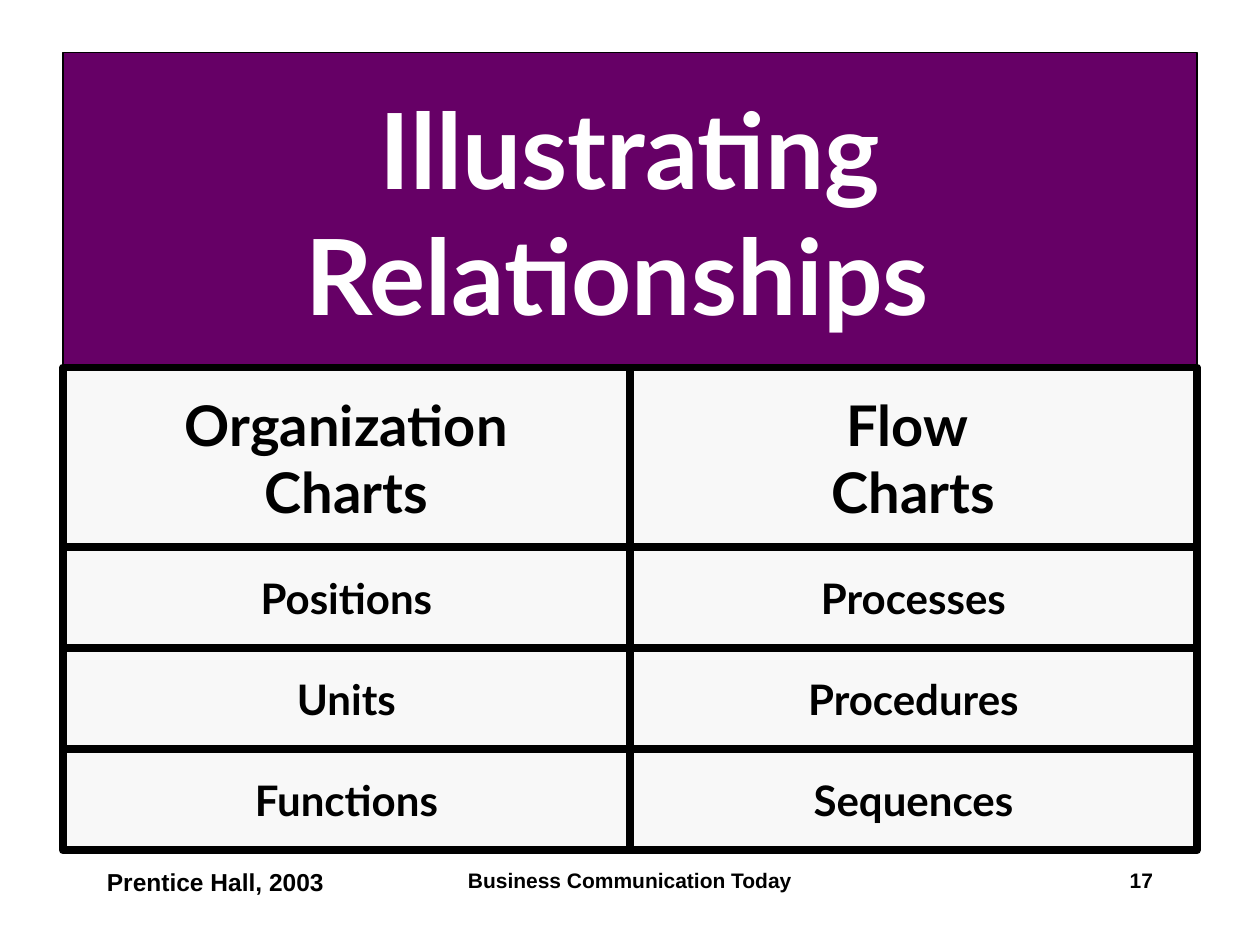
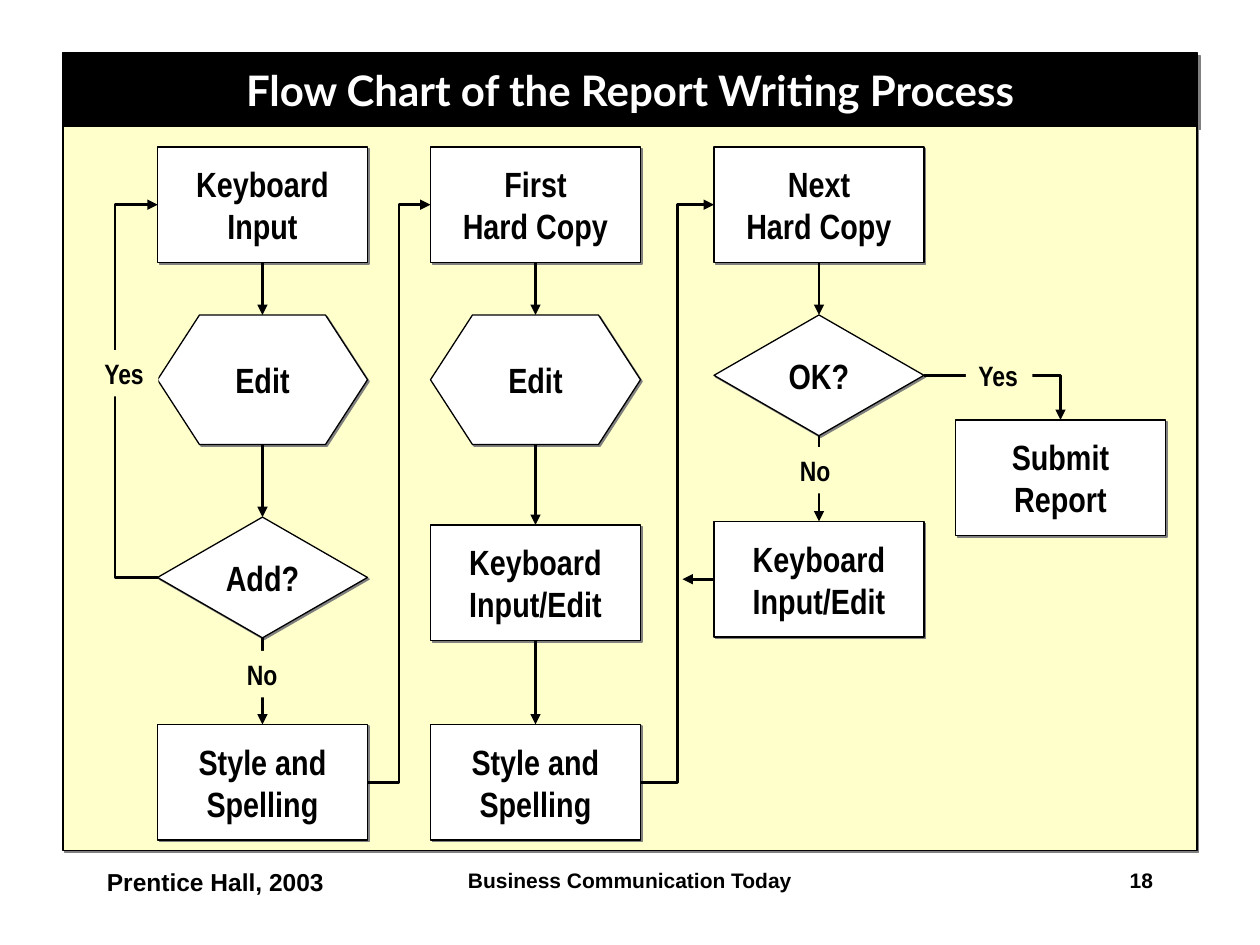
from lxml.etree import SubElement
from pptx import Presentation
from pptx.dml.color import RGBColor
from pptx.enum.shapes import MSO_CONNECTOR as LINK, MSO_SHAPE as SHAPE
from pptx.enum.text import MSO_ANCHOR as ANCHOR, MSO_AUTO_SIZE as FIT, PP_ALIGN as ALIGN
from pptx.oxml.ns import qn
from pptx.util import Pt

COLORS = {"purple": "660066", "black": "000000", "white": "FFFFFF",
          "cell": "F8F8F8", "cream": "FFFFCC", "shadow": "808080"}
STYLES = {
    "title": {"name": "Lato", "size": Pt(60), "bold": True},
    "band": {"name": "Lato", "size": Pt(24), "bold": True},
    "heading": {"name": "Lato", "size": Pt(32), "bold": True},
    "cell": {"name": "Lato", "size": Pt(24), "bold": True},
    "step": {"name": "Arial Narrow", "size": Pt(20), "bold": True},
    "answer": {"name": "Arial Narrow", "size": Pt(16), "bold": True},
    "footer": {"name": "Arial", "size": Pt(12), "bold": True},
    "publisher": {"name": "Arial", "size": Pt(14), "bold": True},
}

# Content
FIRST_NUMBER = 17
FOOTER = [  # text, left, width, style, alignment
    ("Business Communication Today", 246, 228, "footer", ALIGN.CENTER),
    ("{number}", 516, 150, "footer", ALIGN.RIGHT),
    ("Prentice Hall, 2003", 54, 150, "publisher", ALIGN.LEFT),
]
RELATIONSHIPS_TITLE = "Illustrating\vRelationships "
RELATIONSHIPS = [
    ("Organization\nCharts", "Flow \nCharts"),
    ("Positions", "Processes"),
    ("Units", "Procedures"),
    ("Functions", "Sequences"),
]
FLOW_TITLE = "Flow Chart of the Report Writing Process"
COLUMNS = {"first": 90, "second": 246, "third": 408, "last": 546}
KINDS = {"task": (SHAPE.RECTANGLE, 66), "edit": (SHAPE.FLOWCHART_PREPARATION, 74),
         "choice": (SHAPE.FLOWCHART_DECISION, 69)}
STEPS = {  # key: text, kind, column, top
    "input": ("Keyboard\nInput", "task", "first", 84),
    "input edit": ("Edit", "edit", "first", 180),
    "add": ("Add?", "choice", "first", 295.5),
    "input style": ("Style and\nSpelling", "task", "first", 414),
    "copy": ("First\nHard Copy", "task", "second", 84),
    "copy edit": ("Edit", "edit", "second", 180),
    "copy keyboard": ("Keyboard\nInput/Edit", "task", "second", 300),
    "copy style": ("Style and\nSpelling", "task", "second", 414),
    "next": ("Next\nHard Copy", "task", "third", 84),
    "ok": ("OK?", "choice", "third", 180),
    "next keyboard": ("Keyboard\nInput/Edit", "task", "third", 298),
    "submit": ("Submit\nReport", "task", "last", 240),
}
DOWNWARD = [
    ("input", "input edit", "add", "input style"),
    ("copy", "copy edit", "copy keyboard", "copy style"),
    ("next", "ok", "next keyboard"),
]
ANSWERS = [  # text, left, top, width
    ("Yes", 552, 201.5, 38), ("No", 450, 255.5, 33),
    ("No", 134, 372, 33), ("Yes", 52.5, 200, 38),
]

# Geometry
LEFT, TOP, WIDTH, BOTTOM = 36, 30, 648, 486
TITLE_HEIGHT, BAND_HEIGHT, HEADING_HEIGHT = 180, 42, 102.7
STEP_WIDTH, ANSWER_HEIGHT = 120, 26.5
FOOTER_TOP, FOOTER_HEIGHT = 492, 36
LOOP_X, SPINE_X = 65.5, 390
SITE_TOP, SITE_LEFT, SITE_BOTTOM, SITE_RIGHT = range(4)


def rgb(name):
    return RGBColor.from_string(COLORS[name])


def write(frame, text, style, color="black", align=ALIGN.CENTER):
    """Fill a text frame, one paragraph for each line of text."""
    for index, line in enumerate(text.split("\n")):
        para = frame.paragraphs[0] if index == 0 else frame.add_paragraph()
        para.text = line
        para.alignment = align
        for span in para.runs:
            for name, value in STYLES[style].items():
                setattr(span.font, name, value)
            span.font.color.rgb = rgb(color)


def paint(shape, fill, line_width=0.0, shadow=0.0):
    """Set fill and black outline, and a shadow lying the given points away."""
    shape.fill.solid()
    shape.fill.fore_color.rgb = rgb(fill)
    if line_width:
        shape.line.color.rgb = rgb("black")
        shape.line.width = Pt(line_width)
    else:
        shape.line.fill.background()
    shape.shadow.inherit = False
    if shadow:
        effects = shape.element.spPr.find(qn("a:effectLst"))
        outer = SubElement(effects, qn("a:outerShdw"), dist=str(Pt(shadow)),
                           dir="2700000", algn="ctr", rotWithShape="0")
        SubElement(outer, qn("a:srgbClr"), val=COLORS["shadow"])


def add_page(deck, number, title, style, height, fill, shadow=0.0):
    """Add a title-only slide with its coloured title and the footer."""
    page = deck.slides.add_slide(deck.slide_layouts[5])
    box = page.shapes.title
    box.left, box.top, box.width, box.height = Pt(LEFT), Pt(TOP), Pt(WIDTH), Pt(height)
    paint(box, fill, 0.75, shadow)
    frame = box.text_frame
    frame.auto_size, frame.vertical_anchor = FIT.NONE, ANCHOR.MIDDLE
    write(frame, title, style, "white")
    for text, left, width, footer_style, align in FOOTER:
        box = page.shapes.add_textbox(Pt(left), Pt(FOOTER_TOP), Pt(width), Pt(FOOTER_HEIGHT))
        box.text_frame.word_wrap = True
        write(box.text_frame, text.format(number=number), footer_style, align=align)
    return page


def add_box(page, preset, left, top, width, height):
    """Add a shape whose text stays unwrapped in its middle."""
    box = page.shapes.add_shape(preset, Pt(left), Pt(top), Pt(width), Pt(height))
    box.text_frame.word_wrap = False
    box.text_frame.vertical_anchor = ANCHOR.MIDDLE
    return box


def add_relationships(page):
    top = TOP + TITLE_HEIGHT
    row_height = (BOTTOM - top - HEADING_HEIGHT) / (len(RELATIONSHIPS) - 1)
    for row, texts in enumerate(RELATIONSHIPS):
        height = row_height if row else HEADING_HEIGHT
        width = WIDTH / len(texts)
        for column, text in enumerate(texts):
            box = add_box(page, SHAPE.RECTANGLE, LEFT + column * width, top, width, height)
            paint(box, "cell", 4.5)
            write(box.text_frame, text, "cell" if row else "heading")
        top += height


def add_step(page, text, kind, column, top):
    preset, height = KINDS[kind]
    box = add_box(page, preset, COLUMNS[column], top, STEP_WIDTH, height)
    paint(box, "white", 0.75, shadow=1.4)
    write(box.text_frame, text, "step")
    return box


def add_arrow(page, start, start_site, end=None, end_site=None, link=LINK.STRAIGHT):
    """Join two steps at their connection sites; without an end, leave it free."""
    arrow = page.shapes.add_connector(link, 0, 0, 0, 0)
    arrow.begin_connect(start, start_site)
    if end is not None:
        arrow.end_connect(end, end_site)
    arrow.line.color.rgb = rgb("black")
    arrow.line.width = Pt(1.5)
    SubElement(arrow.line._get_or_add_ln(), qn("a:tailEnd"), type="triangle")
    SubElement(arrow.element.spPr, qn("a:effectLst"))
    return arrow


def add_arrows(page, steps):
    for chain in DOWNWARD:
        for start, end in zip(chain, chain[1:]):
            add_arrow(page, steps[start], SITE_BOTTOM, steps[end], SITE_TOP)
    for start, end in (("input style", "copy"), ("copy style", "next")):
        add_arrow(page, steps[start], SITE_RIGHT, steps[end], SITE_LEFT, LINK.ELBOW)

    corner = add_arrow(page, steps["ok"], SITE_RIGHT, steps["submit"], SITE_TOP, LINK.ELBOW)
    corner.element.spPr.find(qn("a:prstGeom")).set("prst", "bentConnector2")

    # The bend is a share of the width, so the loop needs a width above zero.
    loop = add_arrow(page, steps["add"], SITE_LEFT, steps["input"], SITE_LEFT, LINK.ELBOW)
    loop.end_x = loop.begin_x + Pt(0.2)
    bend = (Pt(LOOP_X) - loop.begin_x) / loop.width
    guides = loop.element.spPr.find(qn("a:prstGeom")).get_or_add_avLst()
    SubElement(guides, qn("a:gd"), name="adj1", fmla=f"val {round(bend * 100000)}")

    back = add_arrow(page, steps["next keyboard"], SITE_LEFT)
    back.end_x, back.end_y = Pt(SPINE_X), back.begin_y


def add_flow_chart(page):
    top = TOP + BAND_HEIGHT
    panel = add_box(page, SHAPE.RECTANGLE, LEFT, top, WIDTH, BOTTOM - top)
    paint(panel, "cream", 0.75, shadow=1.4)
    steps = {key: add_step(page, *step) for key, step in STEPS.items()}
    add_arrows(page, steps)
    for text, left, answer_top, width in ANSWERS:
        label = add_box(page, SHAPE.RECTANGLE, left, answer_top, width, ANSWER_HEIGHT)
        paint(label, "cream")
        label.text_frame.vertical_anchor = ANCHOR.TOP
        label.text_frame.auto_size = FIT.SHAPE_TO_FIT_TEXT
        write(label.text_frame, text, "answer", align=ALIGN.LEFT)


def main():
    deck = Presentation()
    deck.slide_width, deck.slide_height = Pt(720), Pt(540)
    add_relationships(add_page(deck, FIRST_NUMBER, RELATIONSHIPS_TITLE, "title",
                               TITLE_HEIGHT, "purple"))
    add_flow_chart(add_page(deck, FIRST_NUMBER + 1, FLOW_TITLE, "band",
                            BAND_HEIGHT, "black", shadow=2.8))
    deck.save("out.pptx")


if __name__ == "__main__":
    main()
